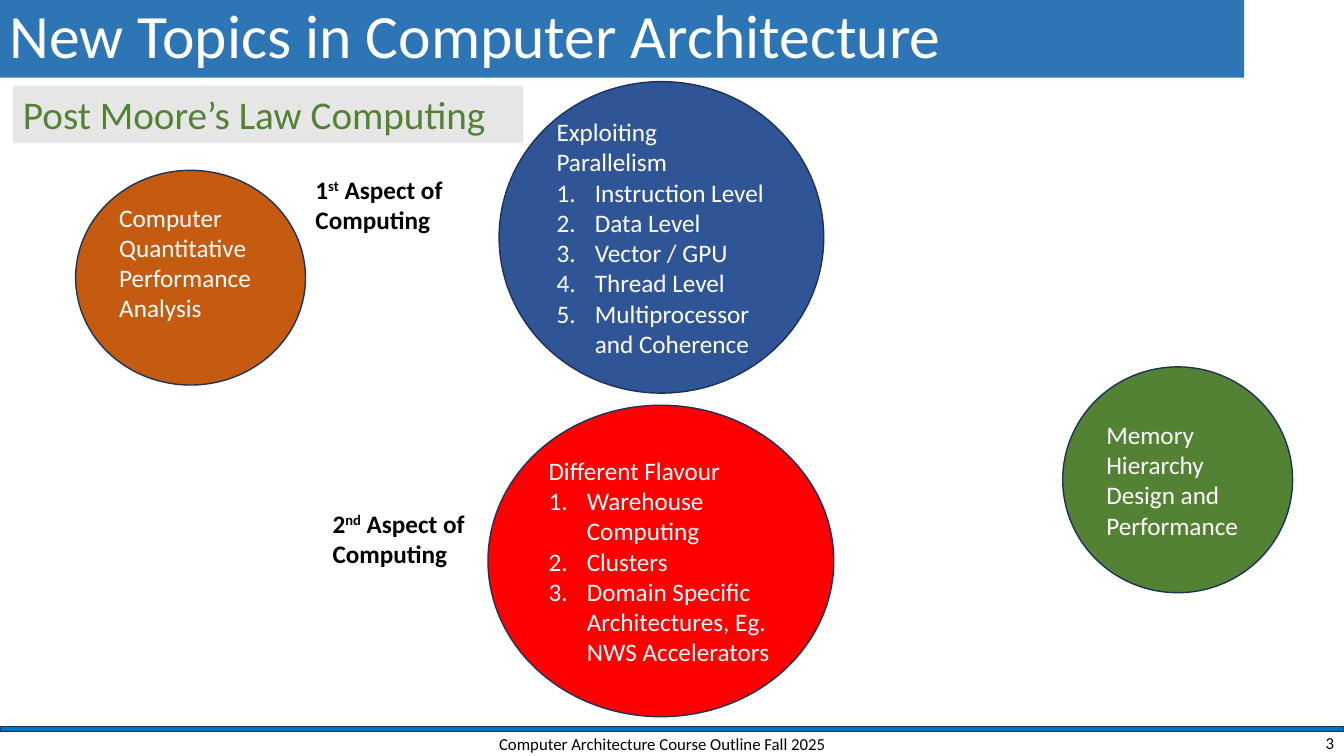
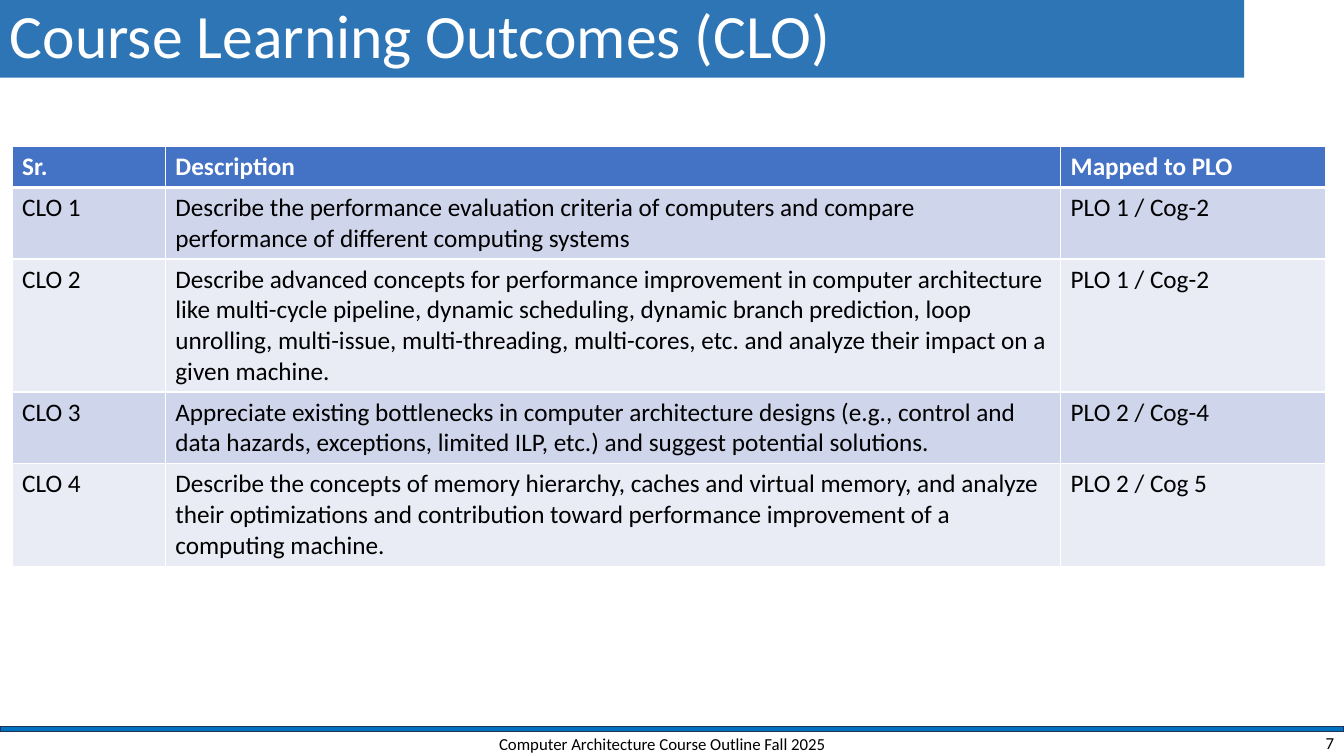
import pptx
import pptx.dml.color
import pptx.enum.shapes
import pptx.enum.text
import pptx.oxml.ns
import pptx.util
from lxml import etree

Inches = pptx.util.Inches
Pt = pptx.util.Pt
SHAPES = pptx.enum.shapes.MSO_SHAPE
ALIGN = pptx.enum.text.PP_ALIGN
ANCHOR = pptx.enum.text.MSO_ANCHOR
qn = pptx.oxml.ns.qn

COLOURS = {
    "white": "FFFFFF", "black": "000000", "title": "2E75B6", "rule": "0070C0",
    "outline": "1E3256", "orange": "C55A11", "green": "548235", "red": "FF0000",
    "navy": "2F5597", "grey": "E7E6E6", "header": "4472C4",
    "band_dark": "CFD5EA", "band_light": "E9EBF5",
}


def colour(name):
    return pptx.dml.color.RGBColor.from_string(COLOURS[name])


class Deck:
    """Holds the presentation, its style and the slide being built."""

    font = "Calibri"
    footer = "Computer Architecture Course Outline Fall 2025"

    def __init__(self):
        self.presentation = pptx.Presentation()
        self.presentation.slide_width = Inches(13.33)
        self.presentation.slide_height = Inches(7.5)
        self.slide = None

    def add_slide(self, title, number):
        self.slide = self.presentation.slides.add_slide(self.presentation.slide_layouts[6])
        self.shape((0, 7.21, 13.33, 0.05), "rule", outline="outline")
        self.shape((0, 0, 12.34, 0.77), "title", [title], size=44, line_spacing=0.9)
        for box, text, alignment in [
            ((3.92, 7.24, 5.3, 0.28), self.footer, ALIGN.CENTER),
            ((10.33, 7.24, 3, 0.25), number, ALIGN.RIGHT),
        ]:
            self.text_box(box, [text], size=12, alignment=alignment, anchor=ANCHOR.MIDDLE)

    def add_run(self, paragraph, text, size, text_colour, bold=False):
        run = paragraph.add_run()
        run.text = text
        values = {"name": self.font, "size": Pt(size), "bold": bold}
        for attribute, value in values.items():
            setattr(run.font, attribute, value)
        run.font.color.rgb = colour(text_colour)
        return run

    def fill_text(self, frame, lines, size=18, text_colour="white", bold=False,
                  alignment=ALIGN.LEFT, anchor=ANCHOR.MIDDLE, line_spacing=None,
                  bottom=0.05):
        """Add one paragraph per line; a tuple's second part is superscript."""
        values = {"word_wrap": True, "vertical_anchor": anchor, "margin_bottom": Inches(bottom)}
        for attribute, value in values.items():
            setattr(frame, attribute, value)
        for index, line in enumerate(lines):
            paragraph = frame.add_paragraph() if index else frame.paragraphs[0]
            paragraph.alignment = alignment
            paragraph.line_spacing = line_spacing
            parts = line if isinstance(line, tuple) else (line,)
            for position, part in enumerate(parts):
                run = self.add_run(paragraph, part, size, text_colour, bold)
                if position == 1:
                    run._r.get_or_add_rPr().set("baseline", "30000")

    def shape(self, box, fill, lines=(), kind=SHAPES.RECTANGLE, outline=None, **text_format):
        shape = self.slide.shapes.add_shape(kind, *map(Inches, box))
        shape.shadow.inherit = False
        shape.fill.solid()
        shape.fill.fore_color.rgb = colour(fill)
        if outline:
            shape.line.color.rgb = colour(outline)
            shape.line.width = Pt(1)
        else:
            shape.line.fill.background()
        self.fill_text(shape.text_frame, lines, **text_format)
        return shape

    def circle(self, box, fill, heading, items=(), **text_format):
        """Draw an ellipse with heading lines above an auto-numbered list."""
        shape = self.shape(box, fill, [*heading, *items], SHAPES.OVAL, "outline", **text_format)
        for paragraph in shape.text_frame.paragraphs[len(heading):]:
            properties = paragraph._p.get_or_add_pPr()
            properties.set("marL", str(Inches(0.38)))
            properties.set("indent", str(-Inches(0.38)))
            etree.SubElement(properties, qn("a:buFont"), typeface="+mj-lt")
            etree.SubElement(properties, qn("a:buAutoNum"), type="arabicPeriod")

    def text_box(self, box, lines, **text_format):
        frame = self.slide.shapes.add_textbox(*map(Inches, box)).text_frame
        self.fill_text(frame, lines, text_colour="black", **text_format)

    def cell(self, cell, text, fill, header):
        properties = cell._tc.get_or_add_tcPr()
        for side in "LRTB":
            width = Pt(3 if header and side == "B" else 1)
            line = etree.SubElement(properties, qn(f"a:ln{side}"), w=str(width))
            solid = etree.SubElement(line, qn("a:solidFill"))
            etree.SubElement(solid, qn("a:srgbClr"), val=COLOURS["white"])
        cell.fill.solid()
        cell.fill.fore_color.rgb = colour(fill)
        self.add_run(cell.text_frame.paragraphs[0], text, 18,
                     "white" if header else "black", header)

    def table(self, left, top, widths, heights, rows):
        table = self.slide.shapes.add_table(
            len(rows), len(widths), Inches(left), Inches(top),
            Inches(sum(widths)), Inches(sum(heights))).table
        for column, width in zip(table.columns, widths):
            column.width = Inches(width)
        for index, (row, height, texts) in enumerate(zip(table.rows, heights, rows)):
            row.height = Inches(height)
            band = "band_dark" if index % 2 else "band_light"
            for cell, text in zip(row.cells, texts):
                self.cell(cell, text, band if index else "header", index == 0)


def topics_slide(deck):
    deck.add_slide("New Topics in Computer Architecture", "3")
    deck.circle((0.75, 1.69, 2.28, 2.13), "orange",
                ["Computer Quantitative", "Performance Analysis"], bottom=0.35)
    deck.circle((10.54, 3.64, 2.28, 2.24), "green",
                ["Memory Hierarchy Design and Performance"])
    deck.circle((4.84, 4.02, 3.43, 3.09), "red", ["Different Flavour"], [
        "Warehouse Computing", "Clusters",
        "Domain Specific Architectures, Eg. NWS Accelerators"])
    deck.circle((4.95, 0.81, 3.22, 3.09), "navy", ["Exploiting Parallelism"], [
        "Instruction Level", "Data Level", "Vector / GPU", "Thread Level",
        "Multiprocessor and Coherence"])
    for left, top, number, suffix in [(3.03, 1.68, "1", "st"), (3.2, 4.99, "2", "nd")]:
        deck.text_box((left, top, 1.55, 0.71),
                      [(number, suffix, " Aspect of"), "Computing"],
                      bold=True, anchor=ANCHOR.TOP)
    deck.shape((0.13, 0.85, 5.06, 0.57), "grey", ["Post Moore’s Law Computing"],
               size=28, text_colour="green", anchor=ANCHOR.TOP)


def outcomes_slide(deck):
    deck.add_slide("Course Learning Outcomes (CLO)", "7")
    deck.table(0.12, 1.45, [1.52, 8.88, 2.63], [0.41, 0.71, 1.32, 0.71, 1.02], [
        ("Sr.", "Description", "Mapped to PLO"),
        ("CLO 1",
         "Describe the performance evaluation criteria of computers and compare "
         "performance of different computing systems",
         "PLO 1 / Cog-2"),
        ("CLO 2",
         "Describe advanced concepts for performance improvement in computer "
         "architecture like multi-cycle pipeline, dynamic scheduling, dynamic branch "
         "prediction, loop unrolling, multi-issue, multi-threading, multi-cores, etc. "
         "and analyze their impact on a given machine.",
         "PLO 1 / Cog-2"),
        ("CLO 3",
         "Appreciate existing bottlenecks in computer architecture designs (e.g., "
         "control and data hazards, exceptions, limited ILP, etc.) and suggest "
         "potential solutions.",
         "PLO 2 / Cog-4"),
        ("CLO 4",
         "Describe the concepts of memory hierarchy, caches and virtual memory, and "
         "analyze their optimizations and contribution toward performance improvement "
         "of a computing machine.",
         "PLO 2 / Cog 5"),
    ])


def main():
    deck = Deck()
    topics_slide(deck)
    outcomes_slide(deck)
    deck.presentation.save("out.pptx")


if __name__ == "__main__":
    main()
